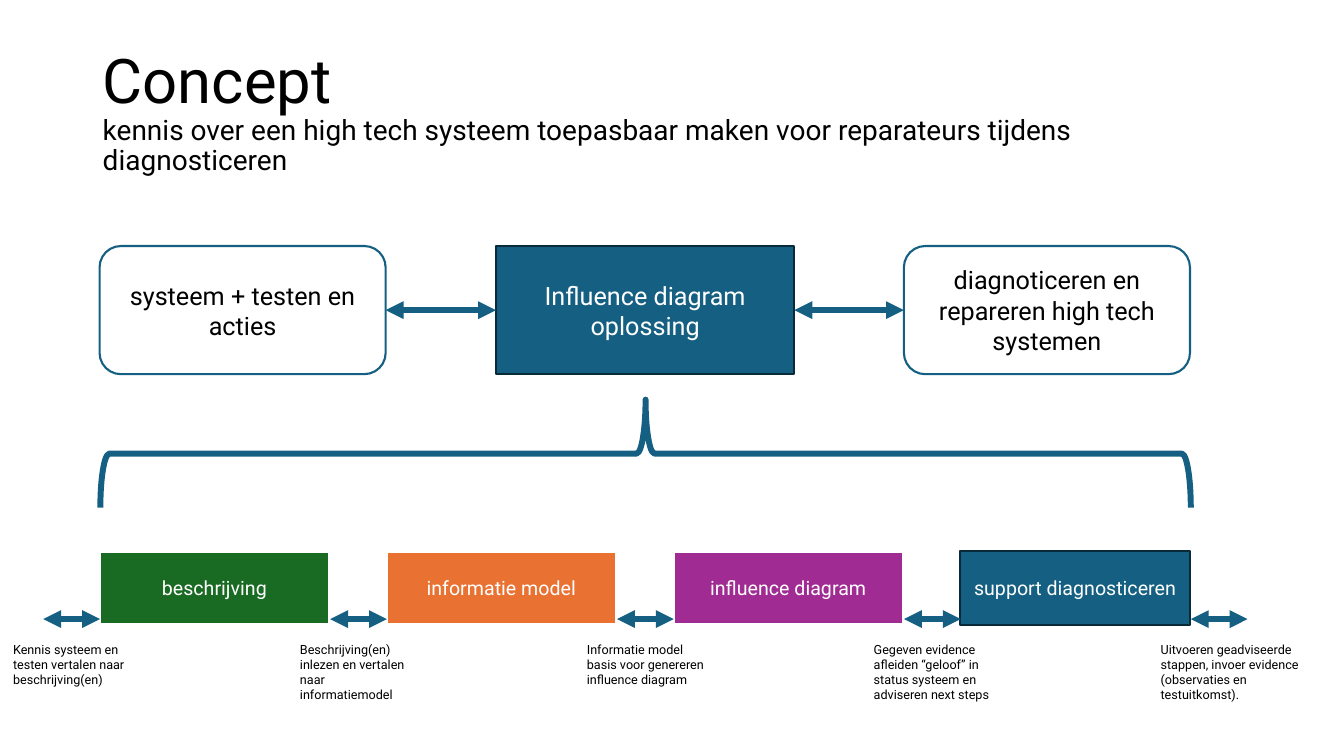
from dataclasses import dataclass

import pptx
import pptx.dml.color
import pptx.enum.shapes
import pptx.enum.text
import pptx.oxml.ns
import pptx.oxml.xmlchemy
import pptx.util

Cm = pptx.util.Cm
Pt = pptx.util.Pt
Shape = pptx.enum.shapes.MSO_SHAPE
Align = pptx.enum.text.PP_ALIGN
Anchor = pptx.enum.text.MSO_ANCHOR

FONT = "Roboto"
BLACK, WHITE = "000000", "FFFFFF"
BLUE, NAVY = "156082", "092A39"
GREEN, ORANGE, PURPLE = "196B24", "E97132", "A02B93"


@dataclass
class Block:
    text: str
    left: float
    top: float
    width: float
    height: float
    fill: str
    line: str
    line_width: float = 1.5
    size: float = 18
    color: str = WHITE
    kind: int = Shape.RECTANGLE


@dataclass
class Caption:
    text: str
    width: float = 3.48
    height: float = 1.42


def paint(target, color: str) -> None:
    """Give a font, fill or line format a solid colour."""
    solid = target.color if hasattr(target, "color") else target.fore_color
    solid.rgb = pptx.dml.color.RGBColor.from_string(color)


def add_span(para, text: str, size: float, color: str = BLACK) -> None:
    span = para.add_run()
    span.text = text
    for name, value in {"name": FONT, "size": Pt(size)}.items():
        setattr(span.font, name, value)
    paint(span.font, color)


def add_text_box(page, left: float, top: float, width: float, height: float, anchor):
    box = page.shapes.add_textbox(Cm(left), Cm(top), Cm(width), Cm(height))
    for name, value in {"word_wrap": True, "vertical_anchor": anchor}.items():
        setattr(box.text_frame, name, value)
    return box.text_frame.paragraphs[0]


def add_block(page, block: Block):
    shape = page.shapes.add_shape(
        block.kind, Cm(block.left), Cm(block.top), Cm(block.width), Cm(block.height))
    shape.shadow.inherit = False
    shape.fill.solid()
    paint(shape.fill, block.fill)
    paint(shape.line, block.line)
    shape.line.width = Pt(block.line_width)
    frame = shape.text_frame
    for name, value in {"word_wrap": True, "vertical_anchor": Anchor.MIDDLE}.items():
        setattr(frame, name, value)
    para = frame.paragraphs[0]
    para.alignment = Align.CENTER
    add_span(para, block.text, block.size, block.color)
    return shape


def add_arrow(page, start: float, end: float, height: float):
    """Draw a level arrow with a head at both ends."""
    arrow = page.shapes.add_connector(
        pptx.enum.shapes.MSO_CONNECTOR.STRAIGHT,
        Cm(start), Cm(height), Cm(end), Cm(height))
    paint(arrow.line, BLUE)
    arrow.line.width = Pt(4.25)
    properties = arrow._element.find(pptx.oxml.ns.qn("p:spPr"))
    line = properties.find(pptx.oxml.ns.qn("a:ln"))
    for tag in ("a:headEnd", "a:tailEnd"):
        head = pptx.oxml.xmlchemy.OxmlElement(tag)
        head.set("type", "triangle")
        line.append(head)
    properties.append(pptx.oxml.xmlchemy.OxmlElement("a:effectLst"))
    return arrow


def add_title(page) -> None:
    para = add_text_box(page, 2.34, 1.02, 29.21, 3.68, Anchor.MIDDLE)
    para.line_spacing = 0.9
    add_span(para, "Concept", 44)
    para.add_line_break()
    add_span(para, "kennis over een high tech systeem toepasbaar maken "
                   "voor reparateurs tijdens diagnosticeren", 20)


def add_overview(page) -> None:
    top, height = 6.2, 3.23
    rounded = {"fill": WHITE, "line": BLUE, "color": BLACK,
               "kind": Shape.ROUNDED_RECTANGLE}
    blocks = [
        Block("systeem + testen en acties", 2.51, top, 7.21, height, **rounded),
        Block("Influence diagram oplossing", 12.5, top, 7.52, height, BLUE, NAVY),
        Block("diagnoticeren en repareren high tech systemen",
              22.78, top, 7.21, height, **rounded),
    ]
    shapes = [add_block(page, block) for block in blocks]
    for index in range(len(blocks) - 1):
        near, far = blocks[index], blocks[index + 1]
        arrow = add_arrow(page, near.left + near.width, far.left, top + height / 2)
        arrow.begin_connect(shapes[index], 3)
        arrow.end_connect(shapes[index + 1], 1)


def add_brace(page) -> None:
    brace = page.shapes.add_shape(
        Shape.RIGHT_BRACE, Cm(14.91), Cm(-2.31), Cm(2.72), Cm(27.48))
    brace.rotation = 270
    brace.shadow.inherit = False
    brace.fill.background()
    paint(brace.line, BLUE)
    brace.line.width = Pt(4.25)


def add_steps(page) -> None:
    pitch = 7.23
    steps = [
        ("beschrijving", GREEN, WHITE, 2),
        ("informatie model", ORANGE, WHITE, 2),
        ("influence diagram", PURPLE, WHITE, 2),
        ("support diagnosticeren", BLUE, NAVY, 1.5),
    ]
    for index, (text, fill, line, line_width) in enumerate(steps):
        add_block(page, Block(text, 2.51 + pitch * index, 13.89, 5.79, 1.85,
                              fill, line, line_width, size=14))

    # Transitions between the steps, each with its caption
    captions = [
        Caption("Kennis systeem en testen vertalen naar beschrijving(en)"),
        Caption("Beschrijving(en) inlezen en vertalen naar informatiemodel"),
        Caption("Informatie model basis voor genereren influence diagram"),
        Caption("Gegeven evidence afleiden “geloof” in status systeem "
                "en adviseren next steps", height=1.8),
        Caption("Uitvoeren geadviseerde stappen, invoer evidence "
                "(observaties en testuitkomst).", 3.99, 1.8),
    ]
    for index, caption in enumerate(captions):
        start = 1.09 + pitch * index
        add_arrow(page, start, start + 1.43, 15.6)
        para = add_text_box(page, 0.08 + pitch * index, 16.05,
                            caption.width, caption.height, Anchor.TOP)
        add_span(para, caption.text, 9)


def main() -> None:
    deck = pptx.Presentation()
    deck.slide_width, deck.slide_height = Cm(33.87), Cm(19.05)
    page = deck.slides.add_slide(deck.slide_layouts[6])
    add_title(page)
    add_overview(page)
    add_brace(page)
    add_steps(page)
    deck.save("out.pptx")


if __name__ == "__main__":
    main()
